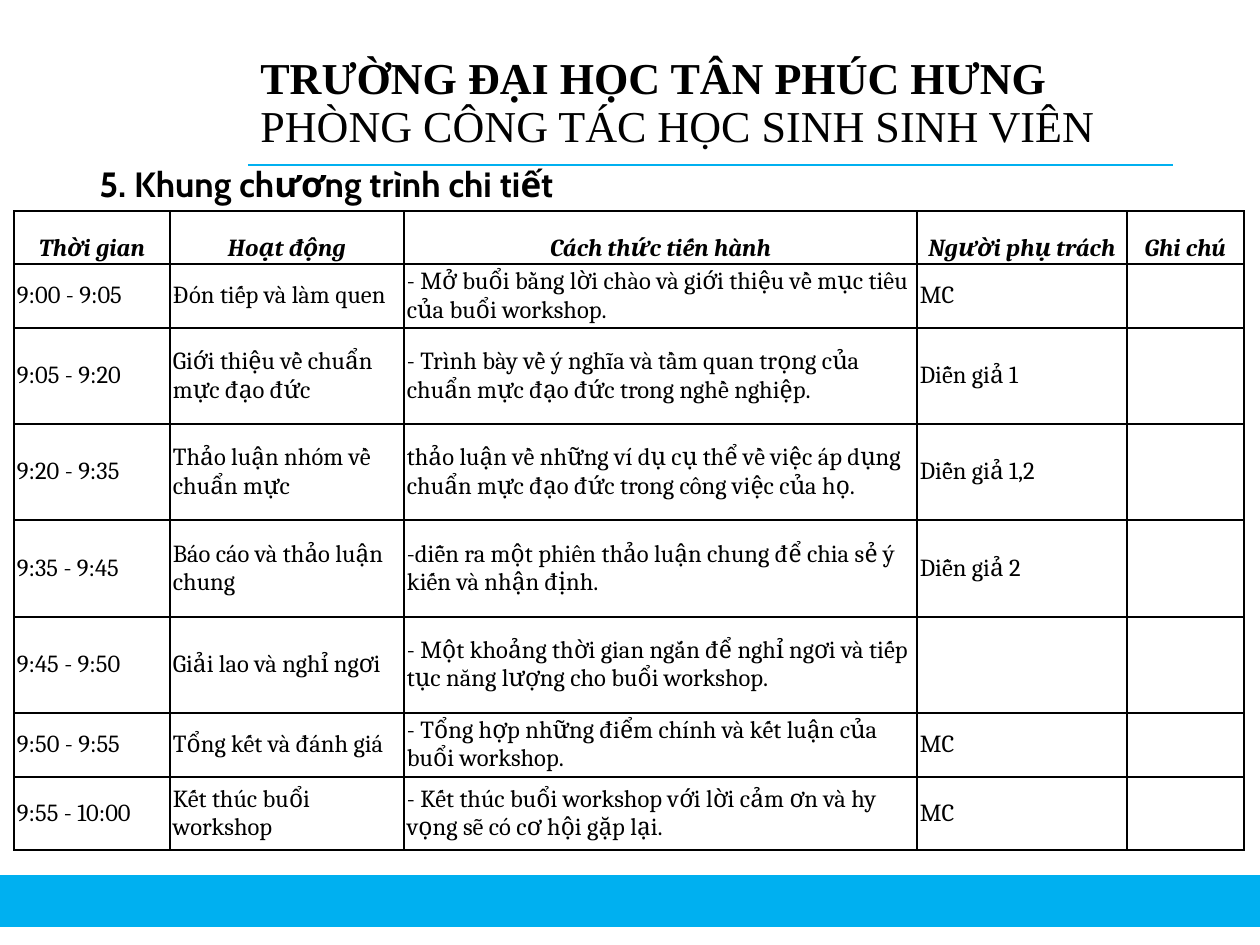
import pptx
import pptx.dml.color
import pptx.enum.shapes
import pptx.enum.text
import pptx.oxml.ns
import pptx.util
from lxml import etree

SCALE = 914400 // 126  # EMU in one px

BLACK = pptx.dml.color.RGBColor(0x00, 0x00, 0x00)
BLUE = pptx.dml.color.RGBColor(0x00, 0xB0, 0xF0)

ALIGN = pptx.enum.text.PP_ALIGN
ANCHOR = pptx.enum.text.MSO_ANCHOR

SCHOOL = "TRƯỜNG ĐẠI HỌC TÂN PHÚC HƯNG"
OFFICE = "PHÒNG CÔNG TÁC HỌC SINH SINH VIÊN"
HEADING = "5. Khung chương trình chi tiết"

COL_WIDTHS = [156, 234, 513, 210, 117]
ROW_HEIGHTS = [53, 64, 96, 96, 97, 96, 64, 73]
HEADER = ["Thời gian", "Hoạt động", "Cách thức tiến hành", "Người phụ trách", "Ghi chú"]
AGENDA = [
    ("9:00 - 9:05", "Đón tiếp và làm quen",
     "- Mở buổi bằng lời chào và giới thiệu về mục tiêu của buổi workshop.", "MC", ""),
    ("9:05 - 9:20", "Giới thiệu về chuẩn mực đạo đức",
     "- Trình bày về ý nghĩa và tầm quan trọng của chuẩn mực đạo đức trong nghề nghiệp.",
     "Diễn giả 1", ""),
    ("9:20 - 9:35", "Thảo luận nhóm về chuẩn mực",
     "thảo luận về những ví dụ cụ thể về việc áp dụng chuẩn mực đạo đức trong công việc của họ.",
     "Diễn giả 1,2", ""),
    ("9:35 - 9:45", "Báo cáo và thảo luận chung",
     "-diễn ra một phiên thảo luận chung để chia sẻ ý kiến và nhận định.", "Diễn giả 2", ""),
    ("9:45 - 9:50", "Giải lao và nghỉ ngơi",
     "- Một khoảng thời gian ngắn để nghỉ ngơi và tiếp tục năng lượng cho buổi workshop.",
     "", ""),
    ("9:50 - 9:55", "Tổng kết và đánh giá",
     "- Tổng hợp những điểm chính và kết luận của buổi workshop.", "MC", ""),
    ("9:55 - 10:00", "Kết thúc buổi workshop",
     "- Kết thúc buổi workshop với lời cảm ơn và hy vọng sẽ có cơ hội gặp lại.", "MC", ""),
]


def px(n):
    return pptx.util.Emu(n * SCALE)


def add_text(p, text, font, size, bold=False, italic=False):
    r = p.add_run()
    r.text = text
    r.font.name = font
    r.font.size = pptx.util.Pt(size)
    r.font.bold = bold
    r.font.italic = italic
    r.font.color.rgb = BLACK


def add_box(slide, left, top, width, height, anchor):
    """Add a wrapping text box and return its first paragraph."""
    tf = slide.shapes.add_textbox(px(left), px(top), px(width), px(height)).text_frame
    tf.word_wrap = True
    tf.vertical_anchor = anchor
    p = tf.paragraphs[0]
    p.line_spacing = 0.9
    return p


def add_borders(cell):
    tc_pr = cell._tc.get_or_add_tcPr()
    for i, side in enumerate(("lnL", "lnR", "lnT", "lnB")):
        ln = etree.Element(pptx.oxml.ns.qn("a:" + side), w=str(pptx.util.Pt(1)))
        fill = etree.SubElement(ln, pptx.oxml.ns.qn("a:solidFill"))
        etree.SubElement(fill, pptx.oxml.ns.qn("a:srgbClr"), val=str(BLACK))
        tc_pr.insert(i, ln)


def add_frame(slide):
    """Add the bottom band and the rule under the title."""
    band = slide.shapes.add_shape(pptx.enum.shapes.MSO_SHAPE.RECTANGLE,
                                  px(0), px(876), px(1260), px(50))
    band.shadow.inherit = False
    band.fill.solid()
    band.fill.fore_color.rgb = BLUE
    rule = slide.shapes.add_connector(pptx.enum.shapes.MSO_CONNECTOR.STRAIGHT,
                                      px(248), px(165), px(1173), px(165))
    etree.SubElement(rule._element.spPr, pptx.oxml.ns.qn("a:effectLst"))
    for sp in (band, rule):
        sp.line.color.rgb = BLUE
        sp.line.width = pptx.util.Pt(1.5)


def add_agenda(slide):
    rows = [HEADER, *AGENDA]
    table = slide.shapes.add_table(len(rows), len(HEADER), px(14), px(211),
                                   px(sum(COL_WIDTHS)), px(sum(ROW_HEIGHTS))).table
    table.horz_banding = False
    table.first_row = False
    for column, width in zip(table.columns, COL_WIDTHS):
        column.width = px(width)
    for i, (row, height) in enumerate(zip(rows, ROW_HEIGHTS)):
        table.rows[i].height = px(height)
        is_header = i == 0
        for j, text in enumerate(row):
            cell = table.cell(i, j)
            cell.fill.background()
            add_borders(cell)
            cell.margin_left = cell.margin_right = px(3)
            cell.margin_top = cell.margin_bottom = px(1)
            cell.vertical_anchor = ANCHOR.BOTTOM if is_header else ANCHOR.MIDDLE
            if text:
                p = cell.text_frame.paragraphs[0]
                p.alignment = ALIGN.CENTER if is_header else ALIGN.LEFT
                add_text(p, text, "Cambria", 14, bold=is_header, italic=is_header)


def main():
    prs = pptx.Presentation()
    prs.slide_width, prs.slide_height = px(1260), px(945)
    slide = prs.slides.add_slide(prs.slide_layouts[6])
    add_frame(slide)

    p = add_box(slide, 248, 47, 984, 115, ANCHOR.MIDDLE)
    add_text(p, SCHOOL, "Times New Roman", 25.2, bold=True)
    p.add_line_break()
    add_text(p, OFFICE, "Times New Roman", 25.2)

    p = add_box(slide, 87, 161, 1086, 689, ANCHOR.TOP)
    p.space_before = pptx.util.Pt(7.5)
    add_text(p, HEADING, "Cabin", 20, bold=True)

    add_agenda(slide)
    prs.save("out.pptx")


if __name__ == "__main__":
    main()
